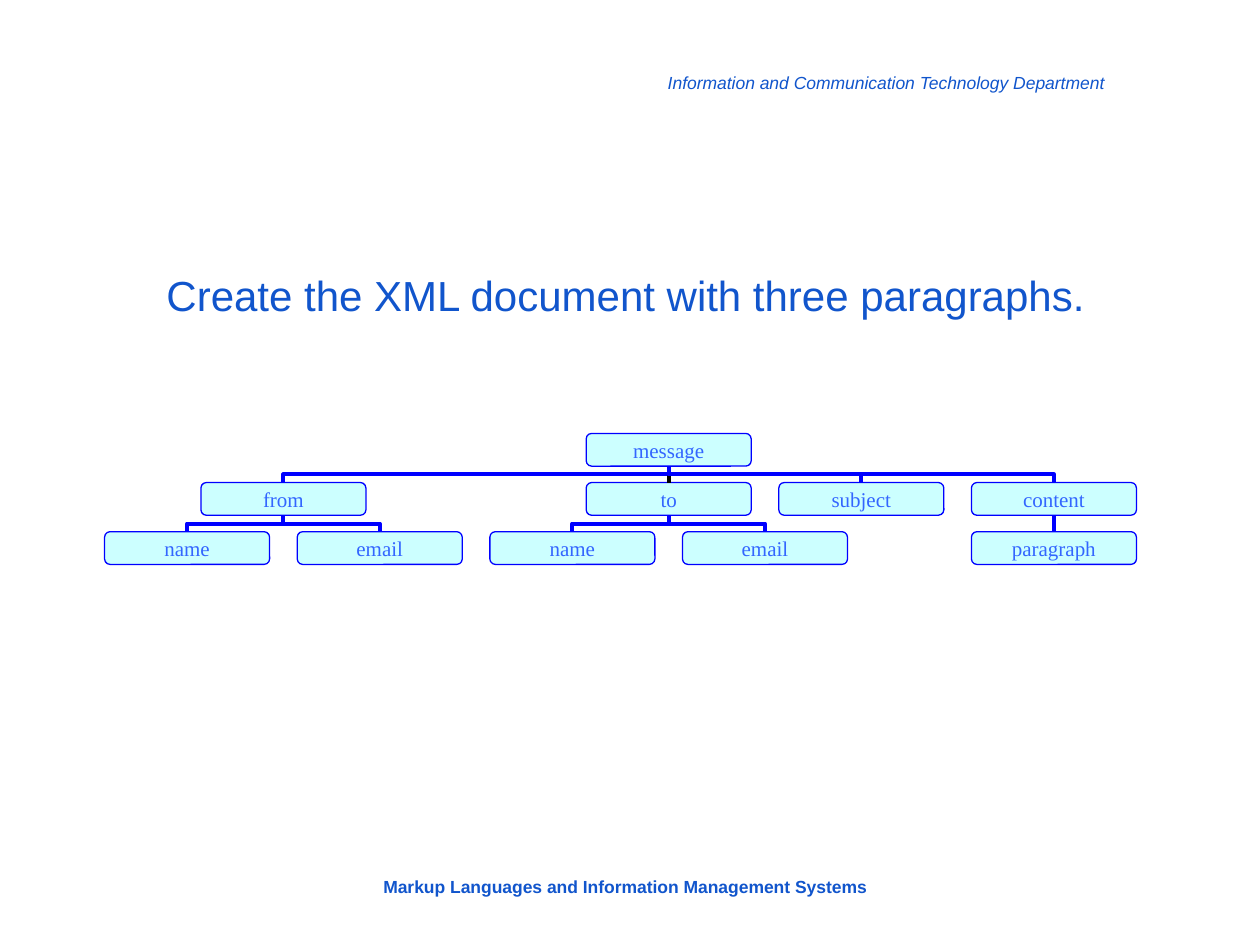
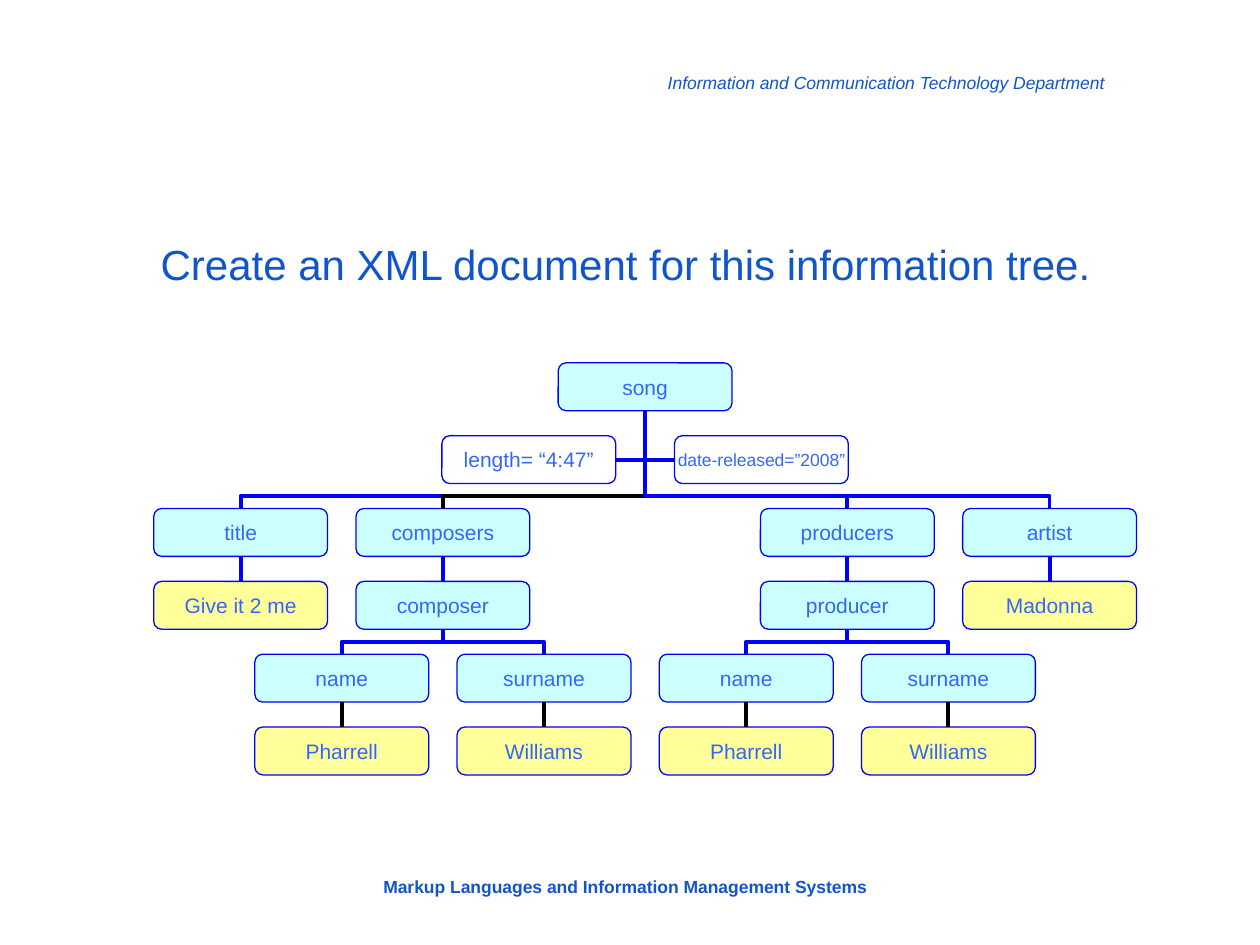
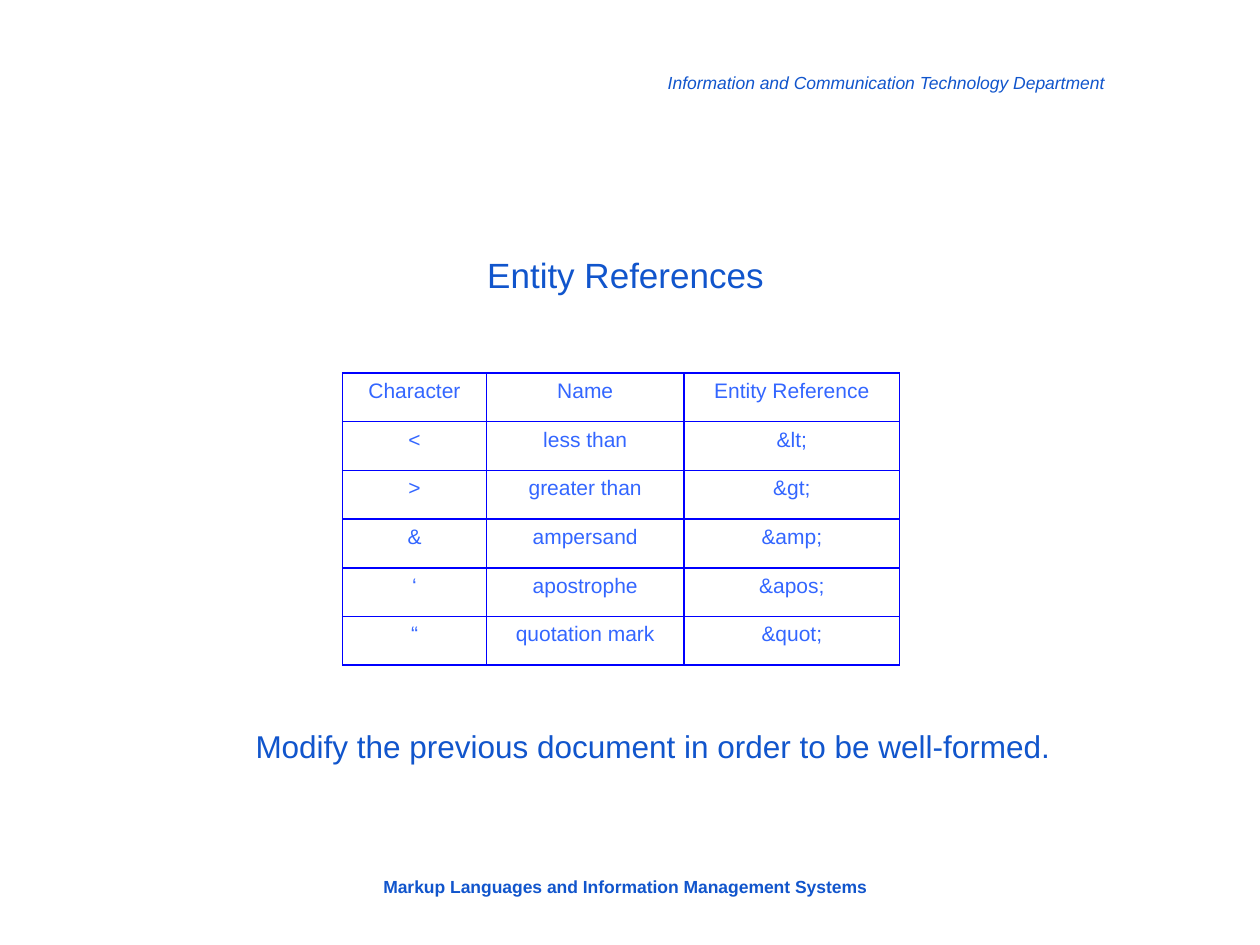
from dataclasses import dataclass
from typing import Optional

from lxml import etree
from pptx import Presentation
from pptx.dml.color import RGBColor
from pptx.enum.shapes import MSO_CONNECTOR, MSO_SHAPE
from pptx.enum.text import MSO_ANCHOR, PP_ALIGN
from pptx.oxml.ns import qn
from pptx.util import Inches, Pt

STRAIGHT, ELBOW = MSO_CONNECTOR.STRAIGHT, MSO_CONNECTOR.ELBOW
ROUNDED = MSO_SHAPE.ROUNDED_RECTANGLE
LEFT, CENTER, RIGHT = PP_ALIGN.LEFT, PP_ALIGN.CENTER, PP_ALIGN.RIGHT
MIDDLE = MSO_ANCHOR.MIDDLE
TOP_SIDE, LEFT_SIDE, BOTTOM_SIDE, RIGHT_SIDE = range(4)
TITLE_ONLY = 5

COLORS = {
    "heading": "1155CC",
    "label": "3366FF",
    "line": "0000FF",
    "dark": "000000",
    "element": "CCFFFF",
    "value": "FFFF99",
}
SANS, SERIF = "Arial", "Times New Roman"
DEPARTMENT = "Information and Communication Technology Department"
COURSE = "Markup Languages and Information Management Systems"


@dataclass
class Node:
    text: str
    column: float
    level: int
    parent: Optional[int] = None   # index of the parent in the list
    fill: Optional[str] = "element"
    line: str = "line"             # colour of the line to the parent
    size: int = 12


MESSAGE_TREE = [
    Node("message", 5, 0),
    Node("from", 1, 1, 0),
    Node("to", 5, 1, 0, line="dark"),
    Node("subject", 7, 1, 0),
    Node("content", 9, 1, 0),
    Node("name", 0, 2, 1),
    Node("email", 2, 2, 1),
    Node("name", 4, 2, 2),
    Node("email", 6, 2, 2),
    Node("paragraph", 9, 2, 4),
]

SONG_TREE = [
    Node("song", 4, 0),
    Node("title", 0, 2, 0),
    Node("composers", 2, 2, 0, line="dark"),
    Node("producers", 6, 2, 0),
    Node("artist", 8, 2, 0),
    Node("Give it 2 me", 0, 3, 1, "value"),
    Node("composer", 2, 3, 2),
    Node("producer", 6, 3, 3),
    Node("Madonna", 8, 3, 4, "value"),
    Node("name", 1, 4, 6),
    Node("surname", 3, 4, 6),
    Node("name", 5, 4, 7),
    Node("surname", 7, 4, 7),
    Node("Pharrell", 1, 5, 9, "value", "dark"),
    Node("Williams", 3, 5, 10, "value", "dark"),
    Node("Pharrell", 5, 5, 11, "value", "dark"),
    Node("Williams", 7, 5, 12, "value", "dark"),
    Node("length= “4:47”", 2.85, 1, fill=None),
    Node("date-released=”2008”", 5.15, 1, fill=None, size=10),
]

ENTITIES = [
    ("Character", "Name", "Entity Reference"),
    ("<", "less than", "&lt;"),
    (">", "greater than", "&gt;"),
    ("&", "ampersand", "&amp;"),
    ("‘", "apostrophe", "&apos;"),
    ("“", "quotation mark", "&quot;"),
]


def color(name):
    return RGBColor.from_string(COLORS[name])


def write(frame, text, size, align, ink="heading", font=SANS, bold=False, italic=False):
    frame.text = text
    para = frame.paragraphs[0]
    para.alignment = align
    for span in para.runs:
        span.font.name, span.font.size = font, Pt(size)
        span.font.bold, span.font.italic = bold, italic
        span.font.color.rgb = color(ink)


def add_text(page, box, text, size, align, **style):
    frame = page.shapes.add_textbox(*map(Inches, box)).text_frame
    frame.word_wrap = True
    write(frame, text, size, align, **style)


def add_page(deck, title, top, size=24):
    """Add a page with its title, department line and course line."""
    page = deck.slides.add_slide(deck.slide_layouts[TITLE_ONLY])
    heading = page.shapes.title
    heading.left, heading.top = Inches(0.83), Inches(top)
    heading.width, heading.height = Inches(8.27), Inches(0.63)
    heading.text_frame.vertical_anchor = MIDDLE
    write(heading.text_frame, title, size, CENTER)
    add_text(page, (5.08, 0.52, 3.78, 0.27), DEPARTMENT, 10, RIGHT, italic=True)
    add_text(page, (0.51, 6.9, 8.9, 0.27), COURSE, 10, CENTER, bold=True)
    return page


def add_node(page, box, node, font):
    shape = page.shapes.add_shape(ROUNDED, *map(Inches, box))
    shape.shadow.inherit = False
    if node.fill:
        shape.fill.solid()
        shape.fill.fore_color.rgb = color(node.fill)
    else:
        shape.fill.background()
    shape.line.color.rgb = color("line")
    shape.line.width = Pt(0.75)
    frame = shape.text_frame
    frame.margin_left = frame.margin_right = frame.margin_top = frame.margin_bottom = 0
    frame.vertical_anchor = MIDDLE
    frame.word_wrap = True
    write(frame, node.text, node.size, CENTER, "label", font)
    return shape


def join(page, kind, start, start_side, end, end_side, ink):
    connector = page.shapes.add_connector(kind, 0, 0, 0, 0)
    connector.begin_connect(start, start_side)
    connector.end_connect(end, end_side)
    connector.line.color.rgb = color(ink)
    connector.line.width = Pt(2.25)
    etree.SubElement(connector._element.spPr, qn("a:effectLst"))
    return connector


def turn_upright(connector, bend):
    """Turn an elbow so that it leaves the child upwards; bend is a share of its height."""
    from_left = connector.begin_x < connector.end_x
    center_x = connector.left + connector.width // 2
    center_y = connector.top + connector.height // 2
    width, height = connector.height, connector.width
    connector.left, connector.top = center_x - width // 2, center_y - height // 2
    connector.width, connector.height = width, height

    properties = connector._element.spPr
    frame = properties.find(qn("a:xfrm"))
    for flip in ("flipH", "flipV"):
        frame.attrib.pop(flip, None)
    frame.set("rot", str((270 if from_left else 90) * 60000))
    if not from_left:
        frame.set("flipH", "1")
    geometry = properties.find(qn("a:prstGeom"))
    values = geometry.find(qn("a:avLst"))
    if values is None:
        values = etree.SubElement(geometry, qn("a:avLst"))
    etree.SubElement(values, qn("a:gd"), name="adj1", fmla=f"val {round(bend * 100000)}")


def add_tree(page, box, nodes, node_size, font):
    """Spread the nodes over the box and join each one to its parent."""
    left, top, width, height = box
    node_width, node_height = node_size
    column_step = (width - node_width) / max(node.column for node in nodes)
    level_step = (height - node_height) / max(node.level for node in nodes)
    shapes = [
        add_node(page, (left + node.column * column_step, top + node.level * level_step,
                        node_width, node_height), node, font)
        for node in nodes
    ]
    for node, shape in zip(nodes, shapes):
        if node.parent is None:
            continue
        parent = nodes[node.parent]
        kind = STRAIGHT if node.column == parent.column else ELBOW
        connector = join(page, kind, shape, TOP_SIDE, shapes[node.parent], BOTTOM_SIDE, node.line)
        if kind == ELBOW:
            # The bend lies in the middle of the gap just above the child
            gap = level_step - node_height
            turn_upright(connector, gap / 2 / (gap + (node.level - parent.level - 1) * level_step))
    return shapes


def set_borders(cell):
    properties = cell._tc.get_or_add_tcPr()
    for position, side in enumerate(("lnL", "lnR", "lnT", "lnB")):
        border = etree.Element(qn(f"a:{side}"), w=str(Pt(1)))
        fill = etree.SubElement(border, qn("a:solidFill"))
        etree.SubElement(fill, qn("a:srgbClr"), val=COLORS["line"])
        properties.insert(position, border)


def add_grid(page, box, rows, widths):
    table = page.shapes.add_table(len(rows), len(widths), *map(Inches, box)).table
    table.first_row = table.horz_banding = False
    for column, width in zip(table.columns, widths):
        column.width = Inches(width)
    for row, texts in enumerate(rows):
        for column, text in enumerate(texts):
            cell = table.cell(row, column)
            cell.fill.background()
            set_borders(cell)
            write(cell.text_frame, text, 12, CENTER, "label")


def message_page(deck):
    page = add_page(deck, "Create the XML document with three paragraphs.", 2.02)
    add_tree(page, (0.83, 3.44, 8.19, 1.04), MESSAGE_TREE, (1.31, 0.26), SERIF)


def song_page(deck):
    page = add_page(deck, "Create an XML document for this information tree.", 1.78)
    shapes = add_tree(page, (1.22, 2.88, 7.8, 3.27), SONG_TREE, (1.38, 0.38), SANS)
    # The two attributes hang on the stem of the root
    length, released = shapes[-2:]
    join(page, STRAIGHT, length, RIGHT_SIDE, released, LEFT_SIDE, "line")


def entity_page(deck):
    page = add_page(deck, "Entity References", 1.86, 20)
    add_grid(page, (2.72, 2.96, 4.42, 2.32), ENTITIES, (1.14, 1.57, 1.71))
    add_text(page, (1.93, 5.72, 6.54, 0.4),
             "Modify the previous document in order to be well-formed.", 18, LEFT)


def main():
    deck = Presentation()
    deck.slide_width, deck.slide_height = Inches(10), Inches(7.5)
    message_page(deck)
    song_page(deck)
    entity_page(deck)
    deck.save("out.pptx")


if __name__ == "__main__":
    main()
